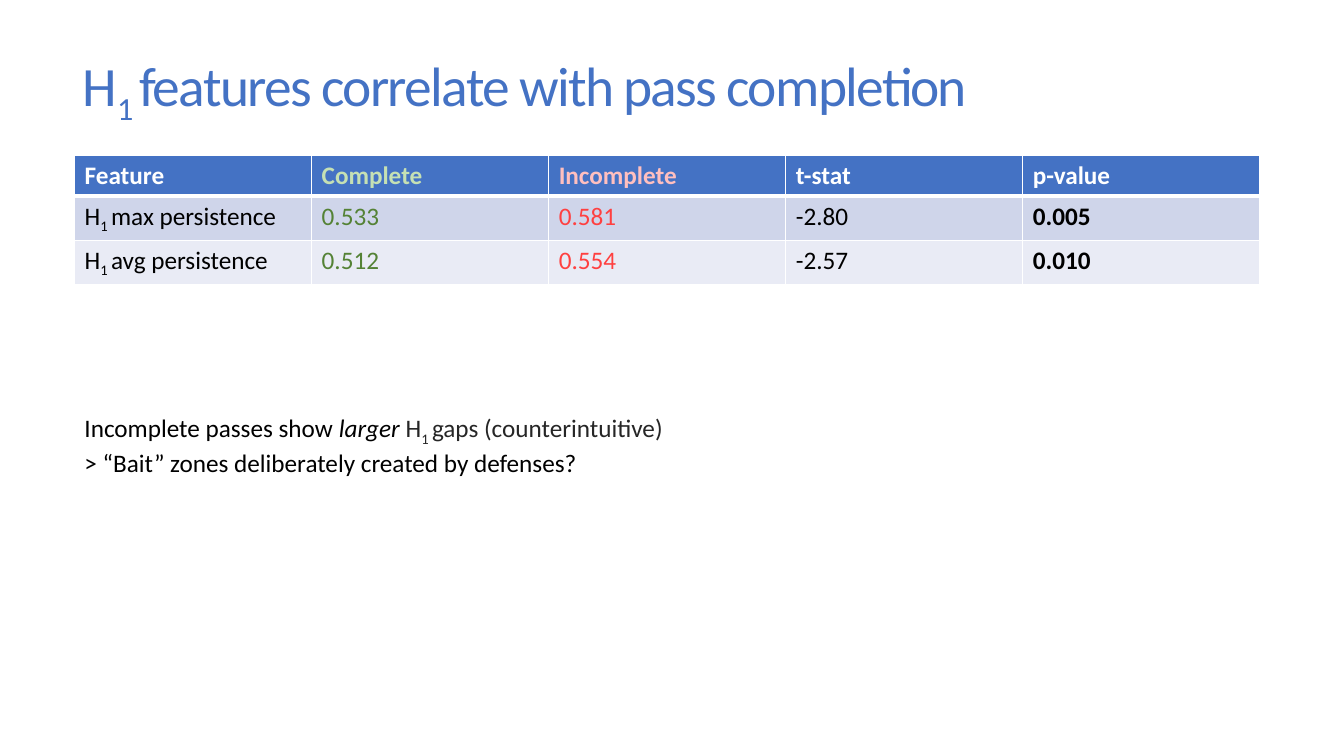
from lxml import etree
from pptx import Presentation
from pptx import util as u
from pptx.dml.color import RGBColor
from pptx.enum import text
from pptx.oxml import ns

BLUE, WHITE, BLACK, DARK = "4472C4", "FFFFFF", "000000", "262626"
GREEN, RED = "548235", "FF4040"
SUB = {"baseline": "-25000"}


def paint(part, tint):
    part.rgb = RGBColor.from_string(tint)


def write(para, runs, tint, look, extra={}):
    """Add runs of (words, font values, run attributes) to a paragraph."""
    for words, own, attrs in runs:
        run = para.add_run()
        run.text = words
        form = {"name": "Calibri", **look, **own}
        paint(run.font.color, form.pop("tint", tint))
        for key, val in form.items():
            setattr(run.font, key, val)
        for key, val in {**extra, **attrs}.items():
            run._r.get_or_add_rPr().set(key, val)


deck = Presentation()
deck.slide_width, deck.slide_height = u.Pt(960), u.Pt(540)
slide = deck.slides.add_slide(deck.slide_layouts[5])

# Title
title = slide.shapes.title
title.left, title.top, title.width, title.height = map(u.Pt, (51.84, 39.6, 848.16, 45.36))
frame = title.text_frame
frame.auto_size = text.MSO_AUTO_SIZE.NONE
frame.vertical_anchor = text.MSO_ANCHOR.MIDDLE
para = frame.paragraphs[0]
para.alignment = text.PP_ALIGN.LEFT
para.line_spacing = 0.85
runs = [("H", {}, {}), ("1 ", {}, SUB), ("features correlate with pass completion", {}, {})]
write(para, runs, BLUE, {"size": u.Pt(39.6)}, {"spc": "-120"})

# Table of test results
rows = [
    ("Feature", "Complete", "Incomplete", "t-stat", "p-value"),
    ("max persistence", "0.533", "0.581", "-2.80", "0.005"),
    ("avg persistence", "0.512", "0.554", "-2.57", "0.010"),
]
fills = [BLUE, "CFD5EA", "E9EBF5"]
heads = [WHITE, "C5E0B4", "FFBFBF", WHITE, WHITE]
tints = [BLACK, GREEN, RED, BLACK, BLACK]
grid = slide.shapes.add_table(3, 5, u.Pt(53.28), u.Pt(110.88), u.Pt(846.72), u.Pt(87.84)).table
for col in grid.columns:
    col.width = u.Pt(169.34)
for r, row in enumerate(rows):
    grid.rows[r].height = u.Pt(29.28)
    for c, words in enumerate(row):
        cell = grid.cell(r, c)
        cell.fill.solid()
        paint(cell.fill.fore_color, fills[r])
        runs = [(words, {}, {})]
        if r and c == 0:
            runs = [("H", {}, {}), ("1 ", {}, SUB)] + runs
        look = {"size": u.Pt(18), "bold": r == 0 or c == 4}
        write(cell.text_frame.paragraphs[0], runs, tints[c] if r else heads[c], look)

        # White borders, thick under the header
        wide = {"L": 1, "R": 1, "T": 3 if r == 1 else 1, "B": 1 if r else 3}
        for i, (side, size) in enumerate(wide.items()):
            line = etree.Element(ns.qn(f"a:ln{side}"), w=str(u.Pt(size)))
            solid = etree.SubElement(line, ns.qn("a:solidFill"))
            etree.SubElement(solid, ns.qn("a:srgbClr"), val=WHITE)
            cell._tc.get_or_add_tcPr().insert(i, line)

# Reading of the results
box = slide.shapes.add_textbox(u.Pt(53.28), u.Pt(292.32), u.Pt(453.6), u.Pt(51.12))
frame = box.text_frame
frame.word_wrap = True
frame.auto_size = text.MSO_AUTO_SIZE.SHAPE_TO_FIT_TEXT
frame.vertical_anchor = text.MSO_ANCHOR.MIDDLE
gray = {"tint": DARK}
notes = [
    [("Incomplete passes show ", {}, {}), ("larger ", {"italic": True}, {}),
     ("H", gray, {}), ("1 ", gray, SUB), ("gaps (counterintuitive)", gray, {})],
    [("> “Bait” zones deliberately created by defenses?", {}, {})],
]
for i, runs in enumerate(notes):
    para = frame.add_paragraph() if i else frame.paragraphs[0]
    write(para, runs, BLACK, {"size": u.Pt(18)})

deck.save("out.pptx")
